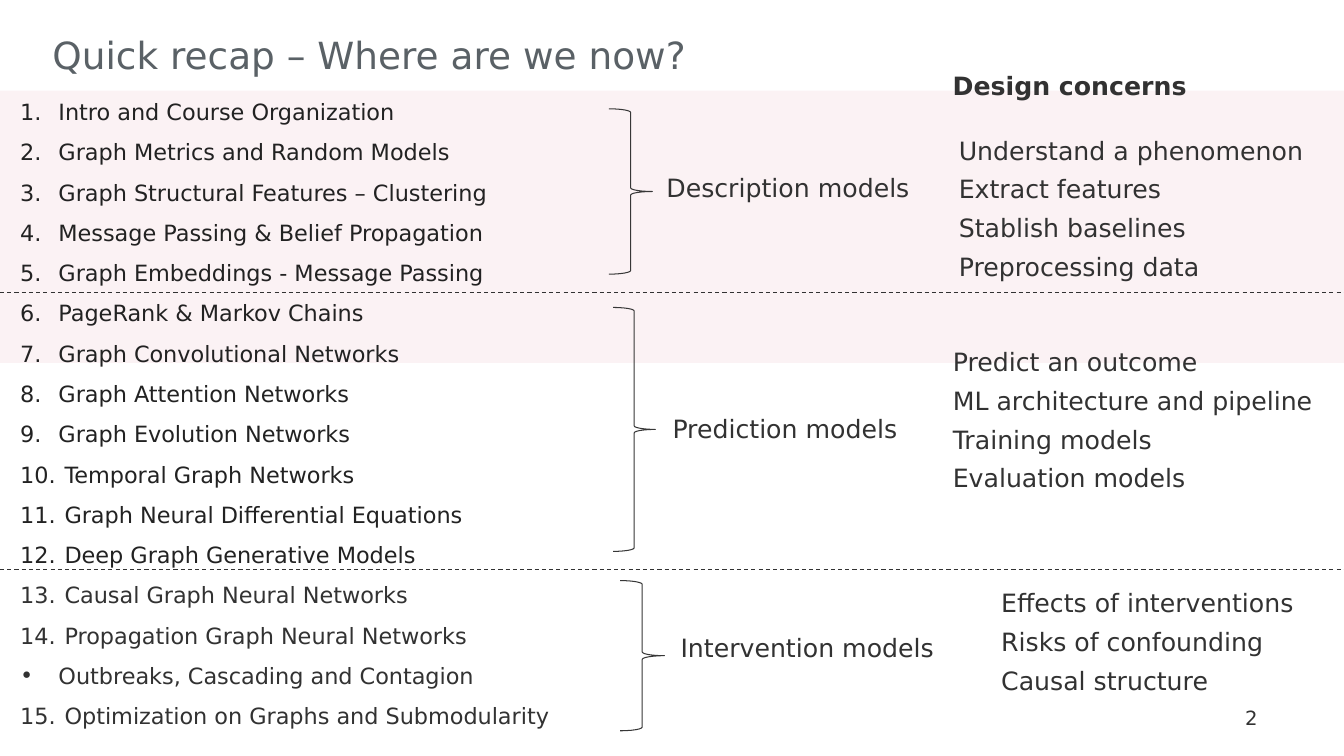
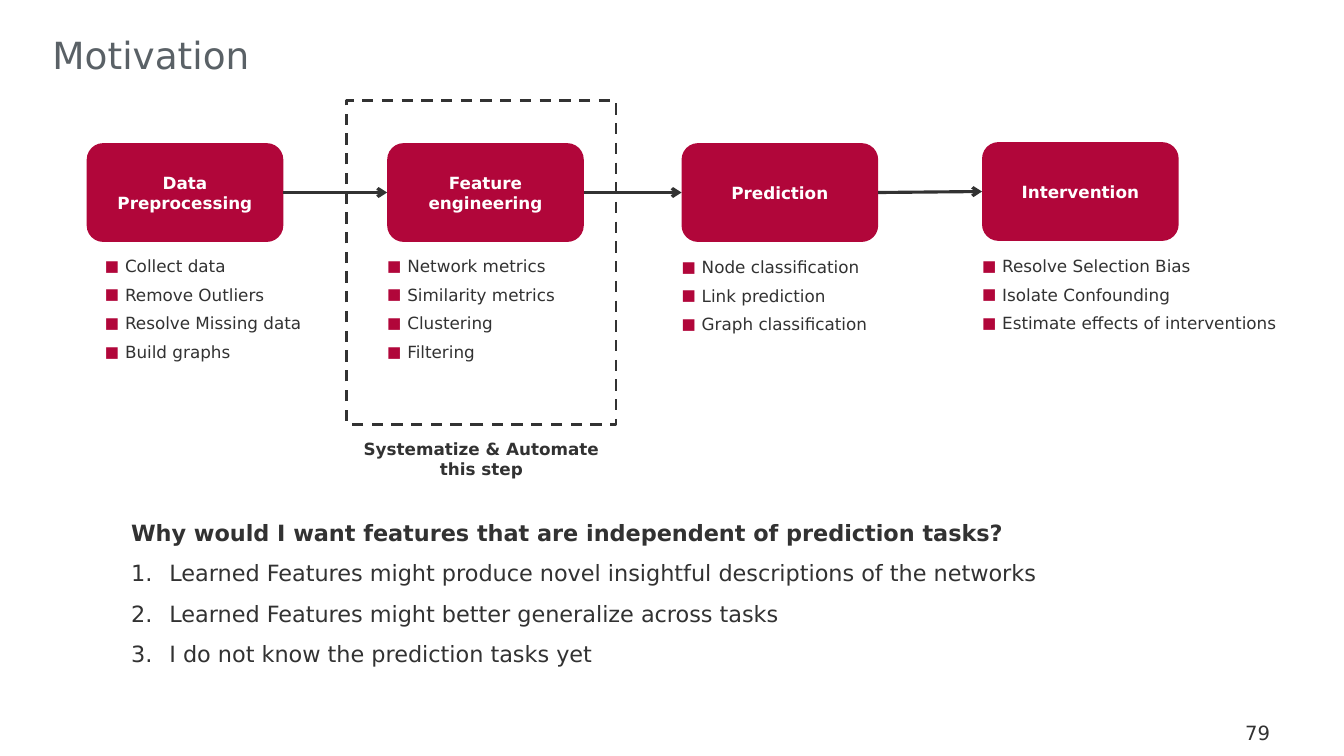
from itertools import pairwise

from lxml.etree import SubElement
from pptx import Presentation
from pptx.dml.color import RGBColor
from pptx.enum.dml import MSO_LINE
from pptx.enum.shapes import MSO_CONNECTOR, MSO_SHAPE
from pptx.enum.text import MSO_ANCHOR, MSO_AUTO_SIZE, PP_ALIGN
from pptx.oxml.ns import qn
from pptx.util import Inches, Pt

CRIMSON = RGBColor(0xB1, 0x06, 0x3A)
SLATE = RGBColor(0x5A, 0x61, 0x66)
DARK = RGBColor(0x32, 0x32, 0x32)
INK = RGBColor(0x22, 0x22, 0x22)
BRACE_GREY = RGBColor(0x37, 0x37, 0x37)
WHITE = RGBColor(0xFF, 0xFF, 0xFF)
FONT = "DejaVu Sans"

# Text styles: font values and paragraph values
TITLE = ({"size": Pt(26.7), "color": SLATE}, {"alignment": PP_ALIGN.LEFT})
NUMBER = ({"size": Pt(14), "color": DARK}, {})
LABEL = ({"size": Pt(18), "color": DARK}, {"space_before": Pt(3), "space_after": Pt(3)})
HEADING = ({**LABEL[0], "bold": True}, {})
LIST = ({"size": Pt(16), "color": DARK}, {"space_before": Pt(0), "line_spacing": 1.5})
QUESTION = ({**LIST[0], "bold": True}, {"space_before": Pt(0)})
DETAIL = ({"size": Pt(12), "color": DARK}, LABEL[1])
CAPTION = ({**DETAIL[0], "bold": True}, {"alignment": PP_ALIGN.CENTER})
CARD = ({**CAPTION[0], "color": WHITE}, CAPTION[1])


def write_lines(shape, lines, style, margins=(0, 0, 0, 0), anchor=MSO_ANCHOR.TOP):
    """Fill a shape with one styled paragraph per line and return the paragraphs."""
    frame = shape.text_frame
    sides = ("margin_left", "margin_top", "margin_right", "margin_bottom")
    frame_values = {"word_wrap": True, "auto_size": MSO_AUTO_SIZE.NONE, "vertical_anchor": anchor}
    frame_values.update(zip(sides, map(Inches, margins)))
    for name, value in frame_values.items():
        setattr(frame, name, value)
    frame.text = "\n".join(lines)
    font_values, para_values = style
    for index, para in enumerate(frame.paragraphs):
        for name, value in para_values.items():
            setattr(para, name, value)
        if index == 0:
            para.space_before = Pt(0)
        for span in para.runs:
            span.font.name = FONT
            for name, value in font_values.items():
                if name == "color":
                    span.font.color.rgb = value
                else:
                    setattr(span.font, name, value)
    return frame.paragraphs


def set_bullet(para, indent, symbol=None, start=None, color=None, percent=None):
    """Give a paragraph a hanging symbol, or a number if there is no symbol."""
    properties = para._p.get_or_add_pPr()
    properties.set("marL", str(Inches(indent)))
    properties.set("indent", str(-Inches(indent)))
    if color is not None:
        SubElement(SubElement(properties, qn("a:buClr")), qn("a:srgbClr"), val=str(color))
    if percent:
        SubElement(properties, qn("a:buSzPct"), val=str(percent * 1000))
    SubElement(properties, qn("a:buFont"), typeface=FONT)
    if symbol:
        SubElement(properties, qn("a:buChar"), char=symbol)
    else:
        number = SubElement(properties, qn("a:buAutoNum"), type="arabicPeriod")
        if start:
            number.set("startAt", str(start))


deck = Presentation()
deck.slide_width, deck.slide_height = Inches(13.33), Inches(7.5)

# Shared frame: title, page number and body list area
pages = []
for title, number, number_top, body_area in [
    ("Quick recap – Where are we now?", "2", 6.95, (0.1, 0.79, 5.78, 6.51)),
    ("Motivation", "79", 7.09, (1.2, 5.1, 10.93, 1.53)),
]:
    page = deck.slides.add_slide(deck.slide_layouts[1])
    heading, body = page.shapes.title, page.placeholders[1]
    for holder, area in [(heading, (0.52, 0.16, 10.03, 0.61)), (body, body_area)]:
        holder.left, holder.top, holder.width, holder.height = map(Inches, area)
    write_lines(heading, [title], TITLE, (0, 0.16, 0, 0))
    box = page.shapes.add_textbox(Inches(12.23), Inches(number_top), Inches(0.84), Inches(0.29))
    write_lines(box, [number], NUMBER, (0.12, 0, 0, 0), MSO_ANCHOR.BOTTOM)
    pages.append((page, body))

# Recap: pale band behind everything
page, body = pages[0]
band = page.shapes.add_shape(MSO_SHAPE.RECTANGLE, 0, Inches(0.9), deck.slide_width, Inches(2.7))
band.shadow.inherit = False
band.line.fill.background()
band.fill.solid()
band.fill.fore_color.rgb = CRIMSON
SubElement(band._element.spPr.find(".//" + qn("a:srgbClr")), qn("a:alpha"), val="5000")
page.shapes._spTree.insert(2, band._element)

# Recap: numbered lectures, with one unnumbered entry
lectures = [
    "Intro and Course Organization",
    "Graph Metrics and Random Models",
    "Graph Structural Features – Clustering",
    "Message Passing & Belief Propagation",
    "Graph Embeddings - Message Passing",
    "PageRank & Markov Chains",
    "Graph Convolutional Networks",
    "Graph Attention Networks",
    "Graph Evolution Networks",
    "Temporal Graph Networks",
    "Graph Neural Differential Equations",
    "Deep Graph Generative Models",
    "Causal Graph Neural Networks",
    "Propagation Graph Neural Networks",
    "Outbreaks, Cascading and Contagion",
    "Optimization on Graphs and Submodularity",
]
for index, para in enumerate(write_lines(body, lectures, LIST, (0.1, 0.05, 0.1, 0.05))):
    if index < 12:
        para.runs[0].font.color.rgb = INK
    if index == 14:
        set_bullet(para, 0.38, symbol="•")
    else:
        set_bullet(para, 0.38 if index < 9 else 0.44, start=15 if index == 15 else None)

# Recap: braces, model families and their design concerns
for brace_area, family, family_area, concerns, concerns_area in [
    ((6.04, 1.08, 0.43, 1.64), "Description models", (6.61, 1.71, 2.74, 0.46),
     ["Understand a phenomenon", "Extract features", "Stablish baselines", "Preprocessing data"],
     (9.51, 1.34, 3.44, 1.56)),
    ((6.08, 3.05, 0.42, 2.42), "Prediction models", (6.67, 4.1, 2.49, 0.35),
     ["Predict an outcome", "ML architecture and pipeline", "Training models", "Evaluation models"],
     (9.45, 3.44, 3.71, 1.48)),
    ((6.15, 5.76, 0.44, 1.49), "Intervention models", (6.75, 6.27, 2.64, 0.35),
     ["Effects of interventions", "Risks of confounding", "Causal structure"],
     (9.93, 5.83, 3.08, 1.24)),
]:
    brace = page.shapes.add_shape(MSO_SHAPE.RIGHT_BRACE, *map(Inches, brace_area))
    brace.shadow.inherit = False
    brace.fill.background()
    brace.line.color.rgb = BRACE_GREY
    brace.line.width = Pt(0.75)
    for lines, area in [([family], family_area), (concerns, concerns_area)]:
        write_lines(page.shapes.add_textbox(*map(Inches, area)), lines, LABEL)

box = page.shapes.add_textbox(Inches(9.35), Inches(0.65), Inches(2.98), Inches(0.4))
write_lines(box, ["Design concerns"], HEADING, (0.1, 0.05, 0.1, 0.05))

# Recap: dashed dividers between the families
for top in (2.9, 5.65):
    divider = page.shapes.add_connector(
        MSO_CONNECTOR.STRAIGHT, 0, Inches(top), deck.slide_width, Inches(top))
    divider.line.color.rgb = DARK
    divider.line.width = Pt(0.75)
    divider.line.dash_style = MSO_LINE.DASH
    SubElement(divider._element.spPr, qn("a:effectLst"))

# Motivation: question and numbered reasons
page, body = pages[1]
reasons = [
    "Why would I want features that are independent of prediction tasks?",
    "Learned Features might produce novel insightful descriptions of the networks",
    "Learned Features might better generalize across tasks",
    "I do not know the prediction tasks yet",
]
question, *answers = write_lines(body, reasons, LIST, (0.1, 0.05, 0.1, 0.05))
question.line_spacing = 1.0
question.runs[0].font.bold = True
properties = question._p.get_or_add_pPr()
properties.set("marL", "0")
properties.set("indent", "0")
SubElement(properties, qn("a:buNone"))
for para in answers:
    set_bullet(para, 0.38)

# Motivation: pipeline steps with their details
cards = []
for name, left, top, details, details_area in [
    ("Data Preprocessing", 0.86, 1.42,
     ["Collect data", "Remove Outliers", "Resolve Missing data", "Build graphs"],
     (1.04, 2.54, 1.95, 1.21)),
    ("Feature engineering", 3.84, 1.42,
     ["Network metrics", "Similarity metrics", "Clustering", "Filtering"],
     (3.84, 2.54, 1.95, 1.16)),
    ("Prediction", 6.76, 1.42,
     ["Node classification", "Link prediction", "Graph classification"],
     (6.76, 2.55, 1.95, 0.89)),
    ("Intervention", 9.74, 1.41,
     ["Resolve Selection Bias", "Isolate Confounding", "Estimate effects of interventions"],
     (9.74, 2.54, 3.13, 0.89)),
]:
    card = page.shapes.add_shape(
        MSO_SHAPE.ROUNDED_RECTANGLE, Inches(left), Inches(top), Inches(1.95), Inches(0.98))
    card.shadow.inherit = False
    card.fill.solid()
    card.fill.fore_color.rgb = CRIMSON
    card.line.fill.background()
    write_lines(card, [name], CARD, (0.12, 0.08, 0.12, 0.08), MSO_ANCHOR.MIDDLE)
    cards.append(card)
    box = page.shapes.add_textbox(*map(Inches, details_area))
    for para in write_lines(box, details, DETAIL):
        set_bullet(para, 0.2, symbol="■", color=CRIMSON, percent=90)

# Motivation: arrows from the right side of a step to the left side of the next
for source, target in pairwise(cards):
    arrow = page.shapes.add_connector(MSO_CONNECTOR.STRAIGHT, 0, 0, 0, 0)
    arrow.begin_connect(source, 3)
    arrow.end_connect(target, 1)
    arrow.line.color.rgb = DARK
    arrow.line.width = Pt(2.25)
    SubElement(arrow.line._get_or_add_ln(), qn("a:tailEnd"), type="arrow")
    SubElement(arrow._element.spPr, qn("a:effectLst"))

# Motivation: dashed frame around the step to automate
frame_box = page.shapes.add_shape(
    MSO_SHAPE.RECTANGLE, Inches(3.44), Inches(1), Inches(2.67), Inches(3.21))
frame_box.shadow.inherit = False
frame_box.fill.background()
frame_box.line.color.rgb = DARK
frame_box.line.width = Pt(2)
frame_box.line.dash_style = MSO_LINE.DASH
box = page.shapes.add_textbox(Inches(3.44), Inches(4.35), Inches(2.67), Inches(0.45))
write_lines(box, ["Systematize & Automate this step"], CAPTION)

deck.save("out.pptx")
